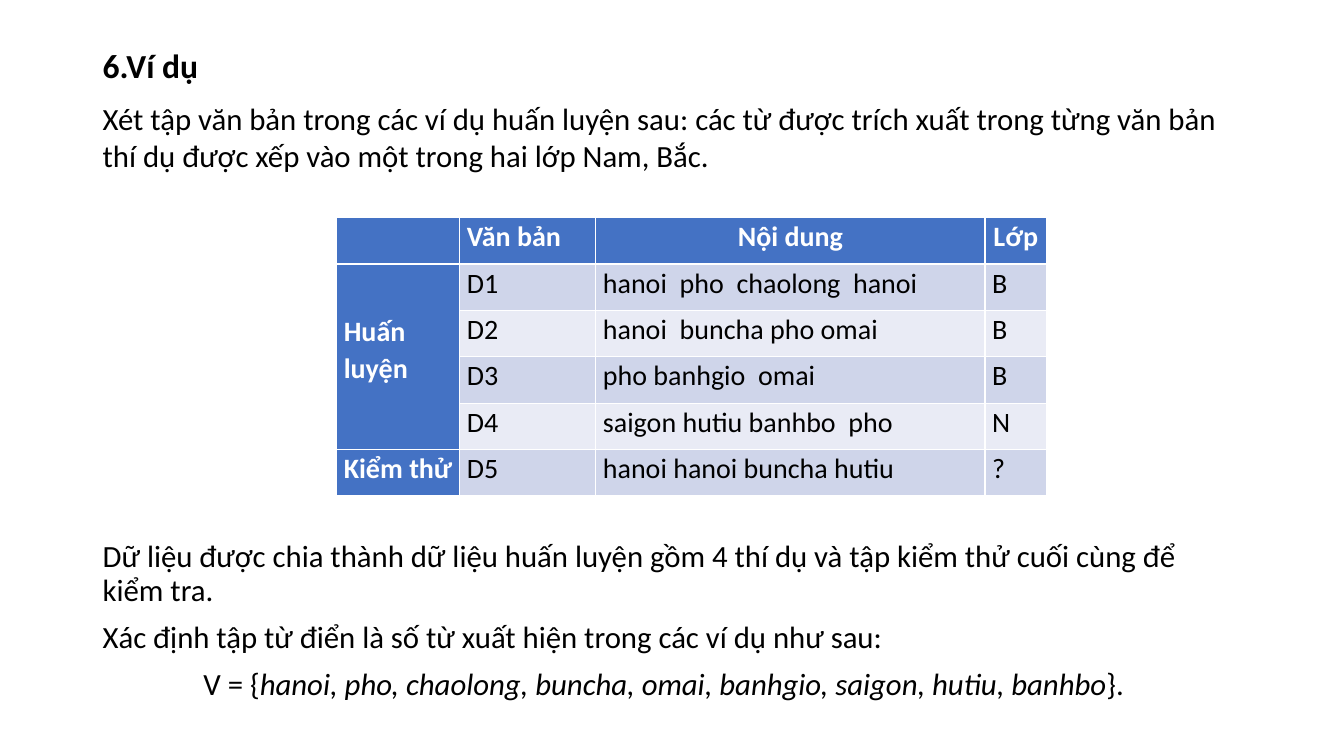
from pptx import Presentation
from pptx.dml.color import RGBColor
from pptx.enum import text
from pptx.util import Inches, Pt

COLORS = {"ink": "000000", "white": "FFFFFF", "header": "4472C4",
          "odd": "CFD5EA", "even": "E9EBF5"}
FONT = "Calibri"
JUSTIFY = text.PP_ALIGN.JUSTIFY
CENTER = text.PP_ALIGN.CENTER

HEADERS = [("Văn bản", JUSTIFY), ("Nội dung", CENTER), ("Lớp", CENTER)]
DOCUMENTS = [
    ("D1", "hanoi  pho  chaolong  hanoi", "B"),
    ("D2", "hanoi  buncha pho omai", "B"),
    ("D3", "pho banhgio  omai", "B"),
    ("D4", "saigon hutiu banhbo  pho", "N"),
    ("D5", "hanoi hanoi buncha hutiu", "?"),
]
COLUMN_WIDTHS = [1.22, 1.35, 3.86, 0.61]
ROW_HEIGHT = 0.46


def add_span(para, words, size, color="ink", bold=False, italic=False):
    span = para.add_run()
    span.text = words
    span.font.name = FONT
    span.font.size = Pt(size)
    span.font.bold = bold
    span.font.italic = italic
    span.font.color.rgb = RGBColor.from_string(COLORS[color])


def add_text(page, top, height, paragraphs, line_spacing):
    box = page.shapes.add_textbox(Inches(0.92), Inches(top), Inches(11.5), Inches(height))
    frame = box.text_frame
    frame.word_wrap = True
    for index, spans in enumerate(paragraphs):
        para = frame.add_paragraph() if index else frame.paragraphs[0]
        para.space_before = Pt(10 if index else 0)
        para.line_spacing = line_spacing
        for words, style in spans:
            add_span(para, words, **style)
    return frame


def fill_cell(cell, words, fill, align=JUSTIFY, strong=False, top=0):
    cell.fill.solid()
    cell.fill.fore_color.rgb = RGBColor.from_string(COLORS[fill])
    cell.margin_left = cell.margin_right = Inches(0.07)
    cell.margin_top = Inches(top)
    cell.margin_bottom = 0
    para = cell.text_frame.paragraphs[0]
    para.alignment = align
    para.line_spacing = 1.07
    if words:
        add_span(para, words, 20, "white" if strong else "ink", bold=strong)


def add_documents_table(page):
    row_count = len(DOCUMENTS) + 1
    table = page.shapes.add_table(
        row_count, len(COLUMN_WIDTHS), Inches(3.34), Inches(2.16),
        Inches(sum(COLUMN_WIDTHS)), Inches(ROW_HEIGHT * row_count)).table
    table.first_col = True
    for column, width in zip(table.columns, COLUMN_WIDTHS):
        column.width = Inches(width)

    fill_cell(table.cell(0, 0), "", "header")
    for column, (words, align) in enumerate(HEADERS, 1):
        fill_cell(table.cell(0, column), words, "header", align, strong=True)
    for row, document in enumerate(DOCUMENTS, 1):
        for column, words in enumerate(document, 1):
            fill_cell(table.cell(row, column), words, "odd" if row % 2 else "even")

    table.cell(1, 0).merge(table.cell(4, 0))
    fill_cell(table.cell(1, 0), "Huấn luyện", "header", strong=True, top=0.48)
    fill_cell(table.cell(5, 0), "Kiểm thử", "header", strong=True)


def main():
    deck = Presentation()
    deck.slide_width = Inches(13.33)
    deck.slide_height = Inches(7.5)
    page = deck.slides.add_slide(deck.slide_layouts[6])

    heading = {"size": 24, "bold": True}
    body = {"size": 22}
    vocabulary = {"size": 22, "italic": True}

    add_text(page, 0.4, 1.5, [
        [("6.Ví dụ", heading)],
        [("Xét tập văn bản trong các ví dụ huấn luyện sau: các từ được trích xuất "
          "trong từng văn bản thí dụ được xếp vào một trong hai lớp Nam, Bắc.", body)],
    ], 1.0)
    add_documents_table(page)
    summary = add_text(page, 5.32, 1.96, [
        [("Dữ liệu được chia thành dữ liệu huấn luyện gồm 4 thí dụ và tập kiểm thử "
          "cuối cùng để kiểm tra.", body)],
        [("Xác định tập từ điển là số từ xuất hiện trong các ví dụ như sau:", body)],
        [("V = {", body),
         ("hanoi, pho, chaolong, buncha, omai, banhgio, saigon, hutiu, banhbo", vocabulary),
         ("}.", body)],
    ], 0.9)
    summary.paragraphs[-1]._p.get_or_add_pPr().set("marL", str(Inches(1)))

    deck.save("out.pptx")


if __name__ == "__main__":
    main()
